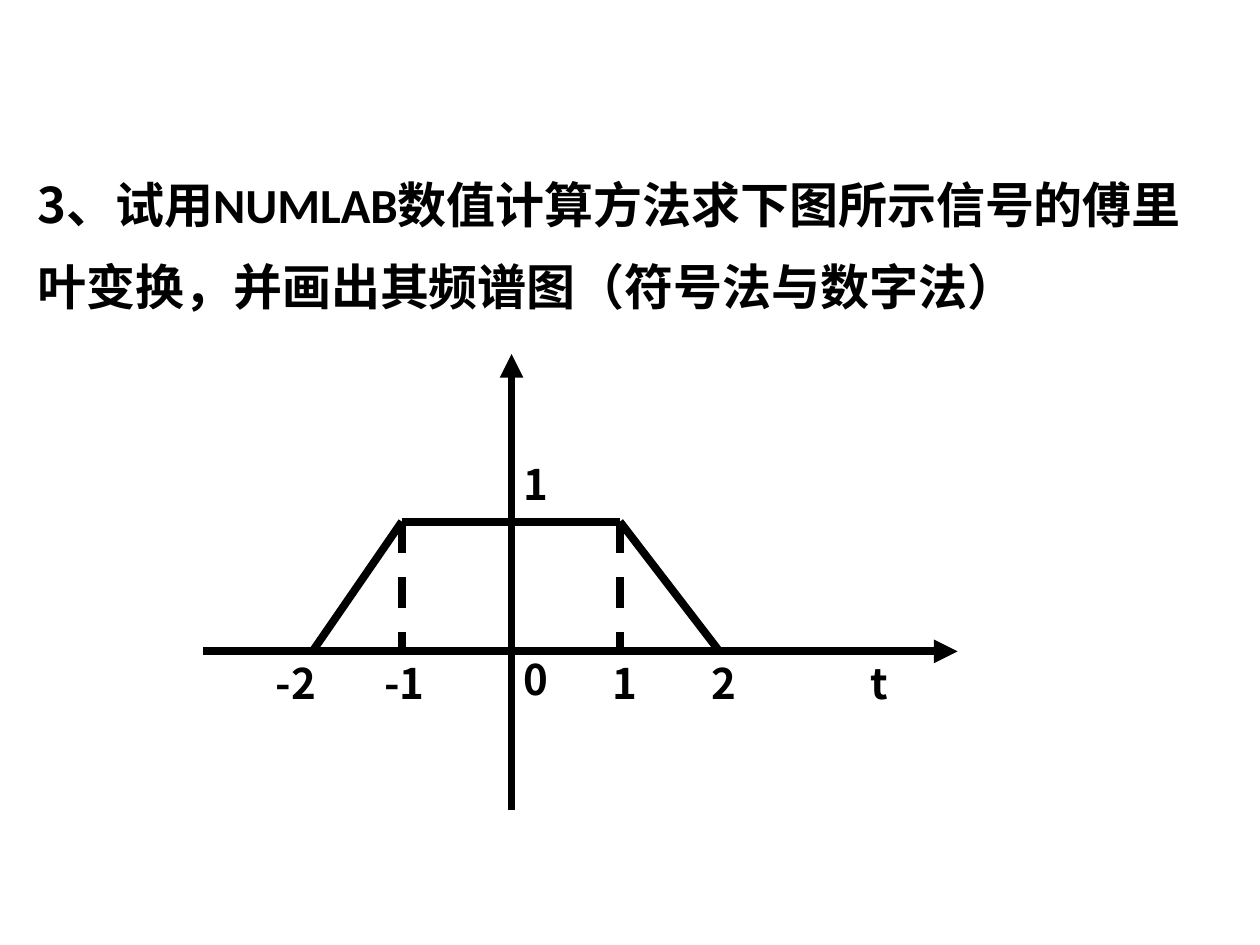
"""Build the exercise slide on the Fourier transform of a trapezoidal signal."""
import pptx
import pptx.util
import pptx.dml.color
import pptx.enum.dml
import pptx.enum.shapes
import pptx.oxml.ns
from lxml import etree
from pptx.util import Inches, Pt

INK = "000000"
CJK, LATIN = "Noto Sans CJK SC", "Calibri"

QUESTION = [
    ("3、", CJK),
    ("试用NUMLAB数值计算方法求下图所示信号的傅里叶变换，并画出其频谱图（符号法与数字法）", LATIN),
]
BASE, TOP = 5.17, 4.14
T = {-2: 2.48, -1: 3.19, 0: 4.06, 1: 4.92, 2: 5.71}
AXES = [((1.61, BASE), (7.6, BASE)), ((T[0], 6.43), (T[0], 2.81))]
SIGNAL = [(T[-2], BASE), (T[-1], TOP), (T[1], TOP), (T[2], BASE)]
LABELS = [
    ("-2", 2.09, BASE), ("-1", 2.95, BASE), ("0", T[0], 5.14), ("1", 4.76, BASE),
    ("2", 5.55, BASE), ("1", T[0], 3.59), ("t", 6.81, BASE),
]


def color(value):
    return pptx.dml.color.RGBColor.from_string(value)


def add_text(slide, runs, left, top, width, height, size, spacing=None):
    frame = slide.shapes.add_textbox(*map(Inches, (left, top, width, height))).text_frame
    frame.word_wrap = True
    paragraph = frame.paragraphs[0]
    if spacing:
        paragraph.line_spacing = spacing
    for words, face in runs:
        run = paragraph.add_run()
        run.text = words
        run.font.size = Pt(size)
        run.font.bold = True
        run.font.name = face
        run.font.color.rgb = color(INK)
        east_asian = etree.SubElement(run.font._element, pptx.oxml.ns.qn("a:ea"))
        east_asian.set("typeface", face)


def add_line(slide, start, end, dashed=False, arrow=False):
    line = slide.shapes.add_connector(
        pptx.enum.shapes.MSO_CONNECTOR.STRAIGHT, *map(Inches, start + end))
    line.line.width = Pt(4.5)
    line.line.color.rgb = color(INK)
    if dashed:
        line.line.dash_style = pptx.enum.dml.MSO_LINE.DASH
    if arrow:
        outline = line._element.spPr.get_or_add_ln()
        tail = etree.SubElement(outline, pptx.oxml.ns.qn("a:tailEnd"))
        tail.set("type", "triangle")
    etree.SubElement(line._element.spPr, pptx.oxml.ns.qn("a:effectLst"))


def main():
    deck = pptx.Presentation()
    deck.slide_width, deck.slide_height = Inches(10), Inches(7.5)
    slide = deck.slides.add_slide(deck.slide_layouts[6])
    add_text(slide, QUESTION, 0.2, 1.15, 9.37, 1.41, 28, 1.4)
    for start, end in AXES:
        add_line(slide, start, end, arrow=True)
    for start, end in zip(SIGNAL, SIGNAL[1:]):
        add_line(slide, start, end)
    for t in (-1, 1):
        add_line(slide, (T[t], TOP), (T[t], BASE), dashed=True)
    for label, left, top in LABELS:
        add_text(slide, [(label, CJK)], left, top, 0.63, 0.5, 24)
    deck.save("out.pptx")


if __name__ == "__main__":
    main()
